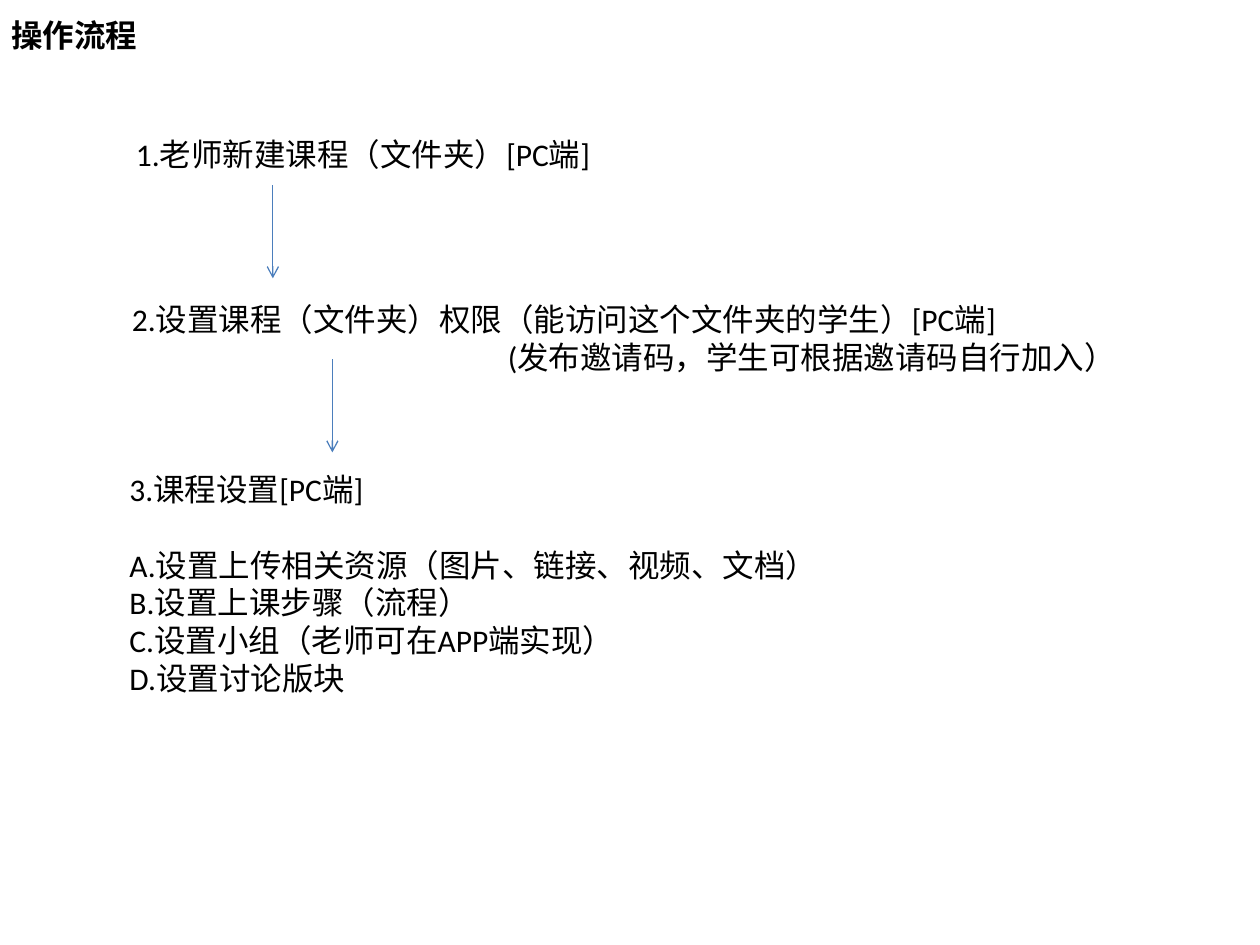
from typing import NamedTuple

from lxml import etree
from pptx import Presentation
from pptx.dml.color import RGBColor
from pptx.enum.shapes import MSO_CONNECTOR
from pptx.enum.text import MSO_ANCHOR, MSO_AUTO_SIZE, PP_ALIGN
from pptx.oxml.ns import qn
from pptx.util import Cm, Pt

COLORS = {"text": "000000", "arrow": "4B7EBC"}
FONT = "Calibri"
SIZE = 18
ARROW_LENGTH = 1.88


class Line(NamedTuple):
    """A paragraph with its indent (cm) and the gap above it (pt)."""
    text: str
    indent: float = 0
    gap: float = 0


class Step(NamedTuple):
    """A text block; lengths in cm."""
    left: float
    top: float
    width: float
    height: float
    lines: list[Line]


class Arrow(NamedTuple):
    """The start of a downward arrow, in cm."""
    x: float
    top: float


TITLE = Step(-0.03, 0.2, 3.1, 1.02, [Line("操作流程")])
STEPS = [
    Step(2.49, 2.59, 9.75, 1.02, [Line("1.老师新建课程（文件夹）[PC端]")]),
    Step(2.41, 5.92, 20.52, 1.8, [
        Line("2.设置课程（文件夹）权限（能访问这个文件夹的学生）[PC端]"),
        Line("(发布邀请码，学生可根据邀请码自行加入）", indent=7.58),
    ]),
    Step(2.36, 9.35, 14.5, 4.88, [
        Line("3.课程设置[PC端]"),
        Line("A.设置上传相关资源（图片、链接、视频、文档）", gap=21.6),
        Line("B.设置上课步骤（流程）"),
        Line("C.设置小组（老师可在APP端实现）"),
        Line("D.设置讨论版块"),
    ]),
]
ARROWS = [Arrow(5.5, 3.73), Arrow(6.7, 7.24)]


def fill_text(sp, step: Step, bold: bool = False) -> None:
    """Place a text shape and write its lines."""
    sp.left, sp.top = Cm(step.left), Cm(step.top)
    sp.width, sp.height = Cm(step.width), Cm(step.height)
    tf = sp.text_frame
    tf.word_wrap = True
    tf.auto_size = MSO_AUTO_SIZE.SHAPE_TO_FIT_TEXT
    tf.vertical_anchor = MSO_ANCHOR.TOP
    for i, line in enumerate(step.lines):
        p = tf.add_paragraph() if i else tf.paragraphs[0]
        p.alignment = PP_ALIGN.LEFT
        if line.gap:
            p.space_before = Pt(line.gap)
        if line.indent:
            p._p.get_or_add_pPr().set("marL", str(Cm(line.indent)))
        r = p.add_run()
        r.text = line.text
        r.font.name, r.font.size, r.font.bold = FONT, Pt(SIZE), bold
        r.font.color.rgb = RGBColor.from_string(COLORS["text"])


def add_arrow(s, arrow: Arrow) -> None:
    """Draw a thin downward arrow with an open head."""
    x, top = Cm(arrow.x), Cm(arrow.top)
    cxn = s.shapes.add_connector(
        MSO_CONNECTOR.STRAIGHT, x, top, x, top + Cm(ARROW_LENGTH))
    cxn.line.color.rgb = RGBColor.from_string(COLORS["arrow"])
    cxn.line.width = Pt(0.75)
    etree.SubElement(cxn.line._get_or_add_ln(), qn("a:tailEnd"), type="arrow")
    etree.SubElement(cxn._element.spPr, qn("a:effectLst"))


def main() -> None:
    """Build the workflow slide."""
    prs = Presentation()
    prs.slide_width, prs.slide_height = Cm(25.4), Cm(19.05)
    s = prs.slides.add_slide(prs.slide_layouts[5])
    fill_text(s.shapes.title, TITLE, bold=True)
    for step in STEPS:
        fill_text(s.shapes.add_textbox(0, 0, 0, 0), step)
    for arrow in ARROWS:
        add_arrow(s, arrow)
    prs.save("out.pptx")


main()
